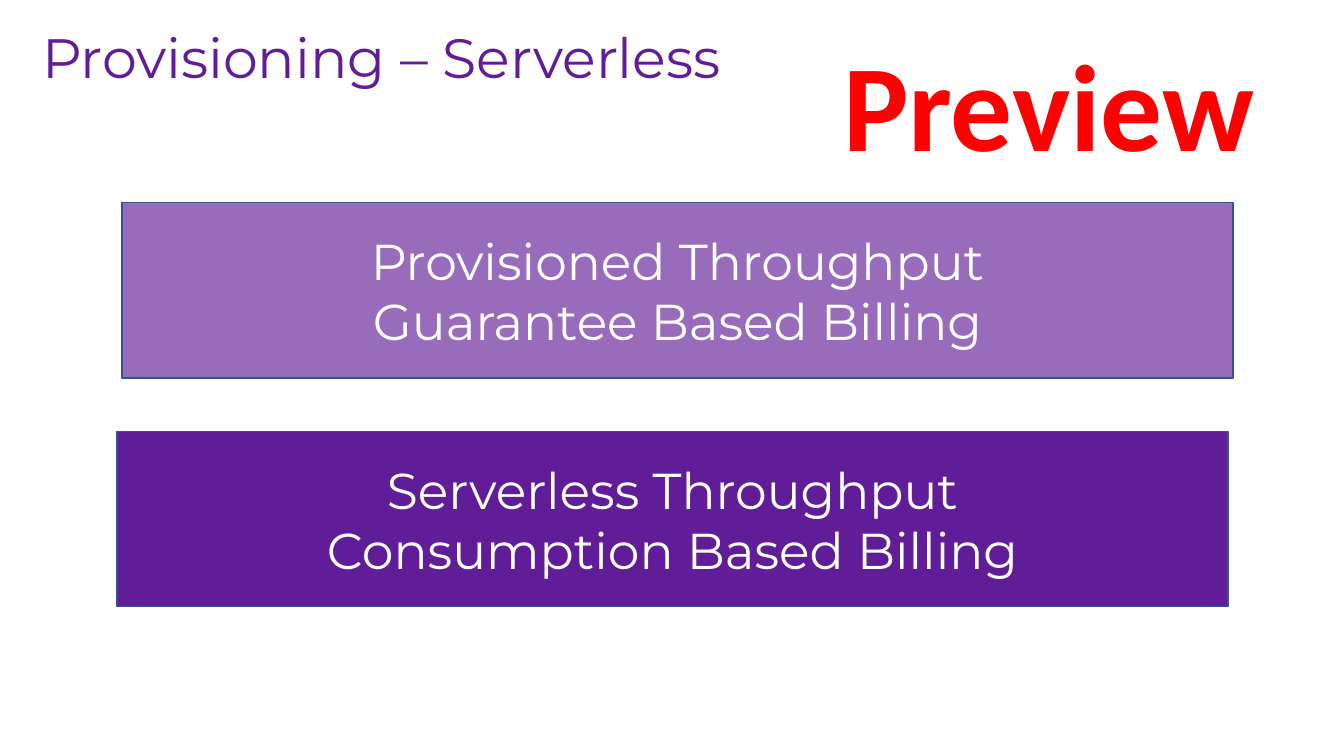
import pptx
import pptx.dml.color
import pptx.enum.shapes
import pptx.enum.text
import pptx.oxml
import pptx.oxml.ns
import pptx.util

RGBColor = pptx.dml.color.RGBColor
PURPLE = RGBColor(0x61, 0x1C, 0x97)
BORDER_BLUE = RGBColor(0x32, 0x54, 0x91)
RED = RGBColor(0xFF, 0x00, 0x00)
WHITE = RGBColor(0xFF, 0xFF, 0xFF)

ANCHOR = pptx.enum.text.MSO_ANCHOR
ALIGN = pptx.enum.text.PP_ALIGN
AUTO_SIZE = pptx.enum.text.MSO_AUTO_SIZE

# Left, top, width and height in inches
TITLE_BOX = (0.32, 0.23, 12.66, 0.74)
STAMP_BOX = (7.47, 0.23, 5.86, 1.58)
BAND_WIDTH, BAND_HEIGHT = 11.02, 1.74
BANDS = [
    (1.21, 2.01, 65, ["Provisioned Throughput", "Guarantee Based Billing"]),
    (1.16, 4.28, 100, ["Serverless Throughput", "Consumption Based Billing"]),
]


def inches(box):
    return [pptx.util.Inches(length) for length in box]


def write_lines(frame, lines, font_name, size, color, align, bold=False):
    frame.word_wrap = True
    for index, line in enumerate(lines):
        paragraph = frame.paragraphs[0] if index == 0 else frame.add_paragraph()
        paragraph.alignment = align
        run = paragraph.add_run()
        run.text = line
        run.font.name = font_name
        run.font.size = pptx.util.Pt(size)
        run.font.bold = bold
        run.font.color.rgb = color


def add_title(slide, box):
    title = slide.shapes.title
    title.left, title.top, title.width, title.height = inches(box)
    frame = title.text_frame
    frame.auto_size = AUTO_SIZE.NONE
    frame.vertical_anchor = ANCHOR.MIDDLE
    write_lines(frame, ["Provisioning – Serverless"], "Montserrat", 39.6,
                PURPLE, ALIGN.LEFT)
    frame.paragraphs[0].line_spacing = 0.9


def add_billing_band(slide, box, opacity, lines):
    band = slide.shapes.add_shape(
        pptx.enum.shapes.MSO_SHAPE.RECTANGLE, *inches(box))
    band.shadow.inherit = False
    band.fill.solid()
    band.fill.fore_color.rgb = PURPLE
    if opacity < 100:
        color = band.fill._xPr.find(".//" + pptx.oxml.ns.qn("a:srgbClr"))
        alpha = pptx.oxml.parse_xml(
            f'<a:alpha {pptx.oxml.ns.nsdecls("a")} val="{opacity * 1000}"/>')
        color.append(alpha)
    band.line.color.rgb = BORDER_BLUE
    band.line.width = pptx.util.Pt(1)
    band.text_frame.vertical_anchor = ANCHOR.MIDDLE
    write_lines(band.text_frame, lines, "Montserrat", 36, WHITE, ALIGN.CENTER)


def add_preview_stamp(slide, box):
    stamp = slide.shapes.add_textbox(*inches(box))
    write_lines(stamp.text_frame, ["Preview"], "Calibri", 88, RED,
                ALIGN.CENTER, bold=True)
    stamp.text_frame.auto_size = AUTO_SIZE.SHAPE_TO_FIT_TEXT


def main():
    deck = pptx.Presentation()
    deck.slide_width, deck.slide_height = inches((13.33, 7.5))
    slide = deck.slides.add_slide(deck.slide_layouts[5])  # Title Only

    add_title(slide, TITLE_BOX)
    for left, top, opacity, lines in BANDS:
        add_billing_band(slide, (left, top, BAND_WIDTH, BAND_HEIGHT),
                         opacity, lines)
    add_preview_stamp(slide, STAMP_BOX)

    deck.save("out.pptx")


if __name__ == "__main__":
    main()
